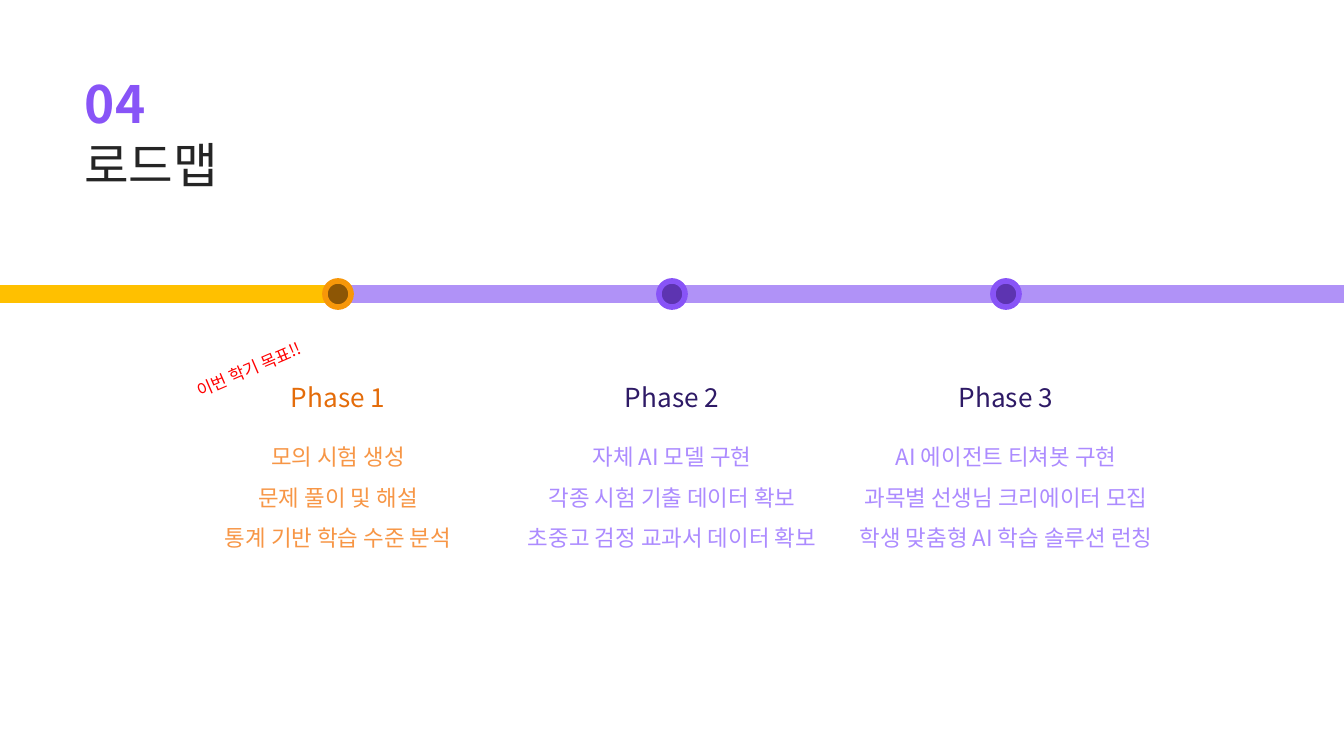
from dataclasses import dataclass

from lxml import etree
from pptx import Presentation
from pptx.dml.color import RGBColor
from pptx.enum.shapes import MSO_CONNECTOR, MSO_SHAPE
from pptx.enum.text import MSO_ANCHOR, MSO_AUTO_SIZE, PP_ALIGN
from pptx.oxml.ns import qn
from pptx.util import Pt

LEFT, CENTER = PP_ALIGN.LEFT, PP_ALIGN.CENTER
TOP = MSO_ANCHOR.TOP
NO_AUTOFIT = MSO_AUTO_SIZE.NONE
STRAIGHT = MSO_CONNECTOR.STRAIGHT
OVAL = MSO_SHAPE.OVAL


@dataclass(frozen=True)
class Theme:
    font: str = "Noto Sans CJK KR"
    number: str = "8854F7"
    title: str = "252525"
    track: str = "B092F7"
    progress: str = "FFC000"
    note: str = "FF0000"
    # Marker fill, marker outline, heading, details
    current: tuple = ("8D5605", "F79709", "E46C0A", "F79646")
    future: tuple = ("5D34B1", "8854F7", "2E1A66", "AC8BFF")
    number_size: int = 55
    title_size: int = 52
    phase_size: int = 28
    detail_size: int = 24
    note_size: int = 18


theme = Theme()

TIMELINE_Y = 315
PHASE_PITCH = 357.84
COLUMN_WIDTH = 338.4
MARKER_SIZE = 28

phases = [
    ("Phase 1", theme.current,
     ["모의 시험 생성", "문제 풀이 및 해설", "통계 기반 학습 수준 분석"]),
    ("Phase 2", theme.future,
     ["자체 AI 모델 구현", "각종 시험 기출 데이터 확보", "초중고 검정 교과서 데이터 확보"]),
    ("Phase 3", theme.future,
     ["AI 에이전트 티쳐봇 구현", "과목별 선생님 크리에이터 모집", "학생 맞춤형 AI 학습 솔루션 런칭"]),
]


def write_text(shape, box, text, size, color, alignment=LEFT, spacing=None, margin=None):
    """Place a text shape and format all of its paragraphs."""
    shape.left, shape.top, shape.width, shape.height = (Pt(length) for length in box)
    frame = shape.text_frame
    frame.text = text
    frame.word_wrap = True
    frame.auto_size = NO_AUTOFIT
    frame.vertical_anchor = TOP
    if margin is not None:
        frame.margin_left = frame.margin_right = Pt(margin)
        frame.margin_top = frame.margin_bottom = Pt(margin)
    for paragraph in frame.paragraphs:
        paragraph.alignment = alignment
        paragraph.line_spacing = spacing
        for run in paragraph.runs:
            run.font.size = Pt(size)
            run.font.name = theme.font
            run.font.color.rgb = RGBColor.from_string(color)
            # Korean glyphs use the East Asian font slot
            east_asian = etree.SubElement(run._r.get_or_add_rPr(), qn("a:ea"))
            east_asian.set("typeface", theme.font)


presentation = Presentation()
presentation.slide_width, presentation.slide_height = Pt(1440), Pt(810)
slide = presentation.slides.add_slide(presentation.slide_layouts[5])
shapes = slide.shapes

# Section number and title
number = shapes.add_textbox(0, 0, 0, 0)
write_text(number, (90, 33, 110, 100), "04", theme.number_size, theme.number,
           spacing=Pt(110), margin=0)
number_run = number.text_frame.paragraphs[0].runs[0]
number_run.font.bold = True
number_run._r.get_or_add_rPr().set("spc", "130")

write_text(shapes.title, (90, 103, 417.6, 94.3), "로드맵", theme.title_size, theme.title,
           spacing=Pt(104), margin=0)

# Timeline: full track, then the part under way
for end_x, color in [(1440, theme.track), (360, theme.progress)]:
    line = shapes.add_connector(STRAIGHT, 0, Pt(TIMELINE_Y), Pt(end_x), Pt(TIMELINE_Y))
    line.line.color.rgb = RGBColor.from_string(color)
    line.line.width = Pt(20)
    etree.SubElement(line._element.spPr, qn("a:effectLst"))

# Phases: marker, heading and details
for index, (name, colors, details) in enumerate(phases):
    marker_fill, marker_line, heading_color, detail_color = colors
    center = 720 + (index - 1) * PHASE_PITCH
    column_left = center - COLUMN_WIDTH / 2

    marker = shapes.add_shape(OVAL, Pt(center - MARKER_SIZE / 2),
                              Pt(TIMELINE_Y - MARKER_SIZE / 2),
                              Pt(MARKER_SIZE), Pt(MARKER_SIZE))
    marker.shadow.inherit = False
    marker.fill.solid()
    marker.fill.fore_color.rgb = RGBColor.from_string(marker_fill)
    marker.line.color.rgb = RGBColor.from_string(marker_line)
    marker.line.width = Pt(6)

    write_text(shapes.add_textbox(0, 0, 0, 0), (column_left, 404.6, COLUMN_WIDTH, 41),
               name, theme.phase_size, heading_color, CENTER)
    write_text(shapes.add_textbox(0, 0, 0, 0), (column_left, 457.2, COLUMN_WIDTH, 134.6),
               "\n".join(details), theme.detail_size, detail_color, CENTER, spacing=1.5)

# Tilted note beside the first phase
note = shapes.add_textbox(0, 0, 0, 0)
write_text(note, (198.7, 375.8, 162, 28.8), "이번 학기 목표!!", theme.note_size, theme.note)
note.rotation = 336.6

presentation.save("out.pptx")
